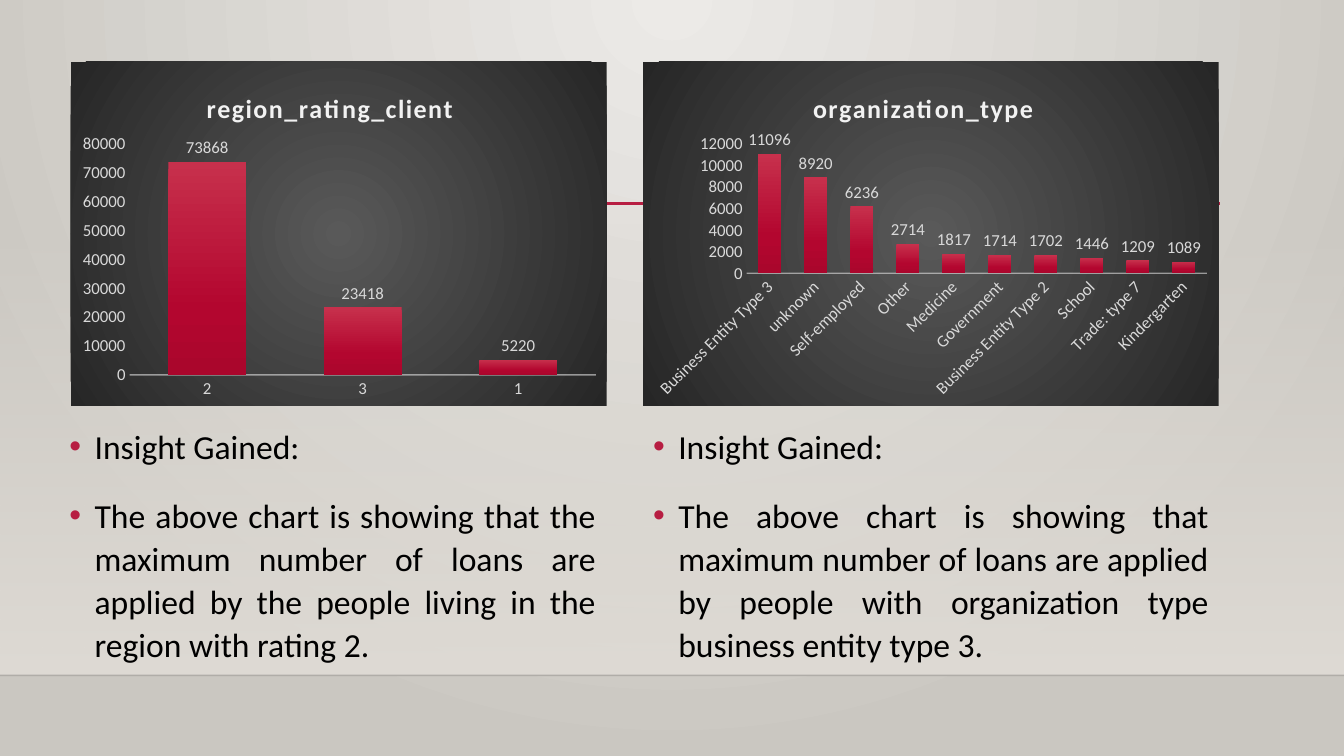
from dataclasses import dataclass
from lxml.etree import SubElement
from pptx import Presentation
from pptx.chart.data import CategoryChartData
from pptx.dml.color import RGBColor
from pptx.enum.chart import XL_CHART_TYPE, XL_LABEL_POSITION, XL_TICK_MARK
from pptx.enum.shapes import MSO_CONNECTOR, MSO_SHAPE
from pptx.enum.text import MSO_ANCHOR, PP_ALIGN
from pptx.oxml import parse_xml
from pptx.oxml.ns import nsdecls, qn
from pptx.util import Pt


@dataclass
class Theme:
    font: str = "Calibri"
    red: str = "B71E42"
    ink: str = "000000"
    pale: str = "D9D9D9"
    white: str = "F2F2F2"
    back: tuple = (("ECEAE7", 0), ("CAC7C1", 100))
    band: tuple = (("DFDBD5", 0), ("DFDBD5", 100))
    panel: tuple = (("595959", 0), ("262626", 100))
    bars: tuple = (("C7304C", 0), ("B3062F", 69), ("AA062C", 100))
    body: float = 24
    title: float = 18.6
    label: float = 12


theme = Theme()


def paint(props, stops, focus=None):
    """Swap a solid fill for a gradient: round if a focus is given, else downward."""
    grad = parse_xml(f'<a:gradFill {nsdecls("a")} rotWithShape="1"><a:gsLst/></a:gradFill>')
    for color, pos in stops:
        stop = SubElement(grad[0], qn("a:gs"), pos=str(pos * 1000))
        SubElement(stop, qn("a:srgbClr"), val=color)
    if focus:
        ring = SubElement(grad, qn("a:path"), path="circle")
        sides = {side: str(part * 1000) for side, part in zip("ltrb", focus)}
        SubElement(ring, qn("a:fillToRect"), **sides)
    else:
        SubElement(grad, qn("a:lin"), ang="5400000", scaled="0")
    props.replace(props.find(qn("a:solidFill")), grad)
    return grad


def style(font, size, color, bold=False):
    font.name, font.size, font.bold = theme.font, Pt(size), bold
    font.color.rgb = RGBColor.from_string(color)


deck = Presentation()
deck.slide_width, deck.slide_height = Pt(960), Pt(540)
slide = deck.slides.add_slide(deck.slide_layouts[6])

# Background and lower band
slide.background.fill.solid()
paint(slide.element.find(".//" + qn("p:bgPr")), theme.back, (43, 0, 43, 100))
band = slide.shapes.add_shape(MSO_SHAPE.RECTANGLE, 0, Pt(159), Pt(960), Pt(323.4))
band.shadow.inherit = False
band.line.fill.background()
band.fill.solid()
fade = paint(band.element.spPr, theme.band)
SubElement(fade[0][0][0], qn("a:alpha"), val="0")

# Floor line and title rule
for left, right, y, color, width, alpha in (
    (0, 960, 482.4, theme.ink, 1, 20),
    (114.5, 871.2, 145.4, theme.red, 2.5, 100),
):
    rule = slide.shapes.add_connector(MSO_CONNECTOR.STRAIGHT, Pt(left), Pt(y), Pt(right), Pt(y))
    rule.line.color.rgb = RGBColor.from_string(color)
    rule.line.width = Pt(width)
    tint = rule.element.spPr.find(".//" + qn("a:srgbClr"))
    SubElement(tint, qn("a:alpha"), val=str(alpha * 1000))
    SubElement(rule.element.spPr, qn("a:effectLst"))

# Each column: chart frame, text frame, scale, title and plot layout, data, insight
columns = (
    dict(
        chart=(50.4, 383), text=(42.5, 390.2), top=80000, step=10000, turn=0,
        title="region_rating_client", spot=(0.245, 0.07), plot=(0.11, 0.24, 0.87, 0.67),
        data={"2": 73868, "3": 23418, "1": 5220},
        note="The above chart is showing that the maximum number of loans are "
             "applied by the people living in the region with rating 2.",
    ),
    dict(
        chart=(459.4, 411), text=(459.4, 411), top=12000, step=2000, turn=-45,
        title="organization_type", spot=(0.287, 0.07), plot=(0.18, 0.24, 0.8, 0.375),
        data={
            "Business Entity Type 3": 11096, "unknown": 8920, "Self-employed": 6236,
            "Other": 2714, "Medicine": 1817, "Government": 1714,
            "Business Entity Type 2": 1702, "School": 1446, "Trade: type 7": 1209,
            "Kindergarten": 1089,
        },
        note="The above chart is showing that maximum number of loans are applied "
             "by people with organization type business entity type 3.",
    ),
)

for col in columns:
    # Insight text
    left, width = col["text"]
    box = slide.shapes.add_textbox(Pt(left), Pt(298.8), Pt(width), Pt(172))
    frame = box.text_frame
    frame.word_wrap, frame.vertical_anchor = True, MSO_ANCHOR.TOP
    for i, words in enumerate(("Insight Gained:", col["note"])):
        para = frame.add_paragraph() if i else frame.paragraphs[0]
        para.alignment, para.line_spacing = PP_ALIGN.JUSTIFY, 1.07
        para.space_before, para.space_after = Pt(10), Pt(8)
        props = para._p.get_or_add_pPr()
        props.set("marL", str(Pt(18)))
        props.set("indent", str(-Pt(18)))
        tint = SubElement(props, qn("a:buClr"))
        SubElement(tint, qn("a:srgbClr"), val=theme.red)
        SubElement(props, qn("a:buFont"), typeface="Arial")
        SubElement(props, qn("a:buChar"), char="•")
        run = para.add_run()
        run.text = words
        style(run.font, theme.body, theme.ink)

    # Chart
    data = CategoryChartData()
    data.categories = list(col["data"])
    data.add_series("Series 1", list(col["data"].values()))
    left, width = col["chart"]
    chart = slide.shapes.add_chart(
        XL_CHART_TYPE.COLUMN_CLUSTERED, Pt(left), Pt(44), Pt(width), Pt(246), data
    ).chart
    chart.has_legend = False
    style(chart.font, theme.label, theme.pale)

    # Dark panel
    panel = parse_xml(
        f'<c:spPr {nsdecls("c", "a")}><a:solidFill/><a:ln><a:noFill/></a:ln></c:spPr>'
    )
    paint(panel, theme.panel, (50, 50, 50, 50))
    chart.element.find(qn("c:chart")).addnext(panel)

    # Title
    chart.has_title = True
    run = chart.chart_title.text_frame.paragraphs[0].add_run()
    run.text = col["title"]
    style(run.font, theme.title, theme.white, True)
    run.font._element.set("spc", "100")
    chart.chart_title.include_in_layout = False

    # Places of title and plot
    title = chart.element.find(".//" + qn("c:title"))
    area = chart.element.find(".//" + qn("c:plotArea"))
    for part, spots in ((title, col["spot"]), (area, col["plot"])):
        for old in part.findall(qn("c:layout")):
            part.remove(old)
        layout = parse_xml(f'<c:layout {nsdecls("c")}><c:manualLayout/></c:layout>')
        if part is area:
            SubElement(layout[0], qn("c:layoutTarget"), val="inner")
            part.insert(0, layout)
        else:
            part.find(qn("c:tx")).addnext(layout)
        for mode in ("xMode", "yMode"):
            SubElement(layout[0], qn("c:" + mode), val="edge")
        for key, spot in zip("xywh", spots):
            SubElement(layout[0], qn("c:" + key), val=str(spot))

    # Bars and labels
    plot = chart.plots[0]
    plot.gap_width, plot.overlap, plot.vary_by_categories = 100, -24, False
    bars = plot.series[0]
    bars.format.fill.solid()
    paint(bars._element.spPr, theme.bars)
    plot.has_data_labels = True
    labels = plot.data_labels
    labels.show_value, labels.position = True, XL_LABEL_POSITION.OUTSIDE_END
    style(labels.font, theme.label, theme.pale)

    # Axes
    for axis in (chart.category_axis, chart.value_axis):
        axis.has_major_gridlines = False
        axis.major_tick_mark = axis.minor_tick_mark = XL_TICK_MARK.NONE
        style(axis.tick_labels.font, theme.label, theme.pale)
    chart.value_axis.format.line.fill.background()
    chart.value_axis.minimum_scale = 0
    chart.value_axis.maximum_scale = col["top"]
    chart.value_axis.major_unit = col["step"]
    base = chart.category_axis
    base.format.line.width = Pt(1)
    base.format.line.color.rgb = RGBColor.from_string(theme.white)
    tint = base._element.find(qn("c:spPr")).find(".//" + qn("a:srgbClr"))
    SubElement(tint, qn("a:alpha"), val="54000")
    turn = base._element.find(qn("c:txPr")).find(qn("a:bodyPr"))
    turn.set("rot", str(col["turn"] * 60000))

deck.save("out.pptx")
